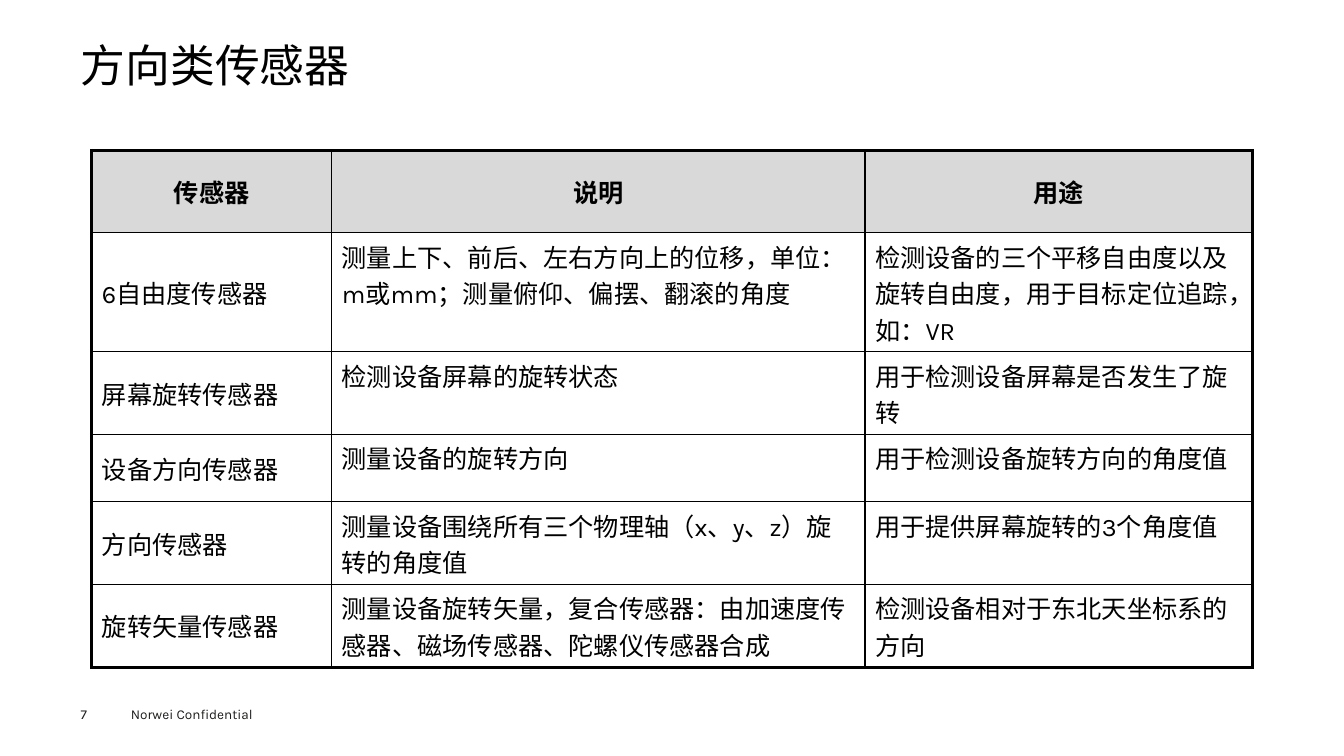
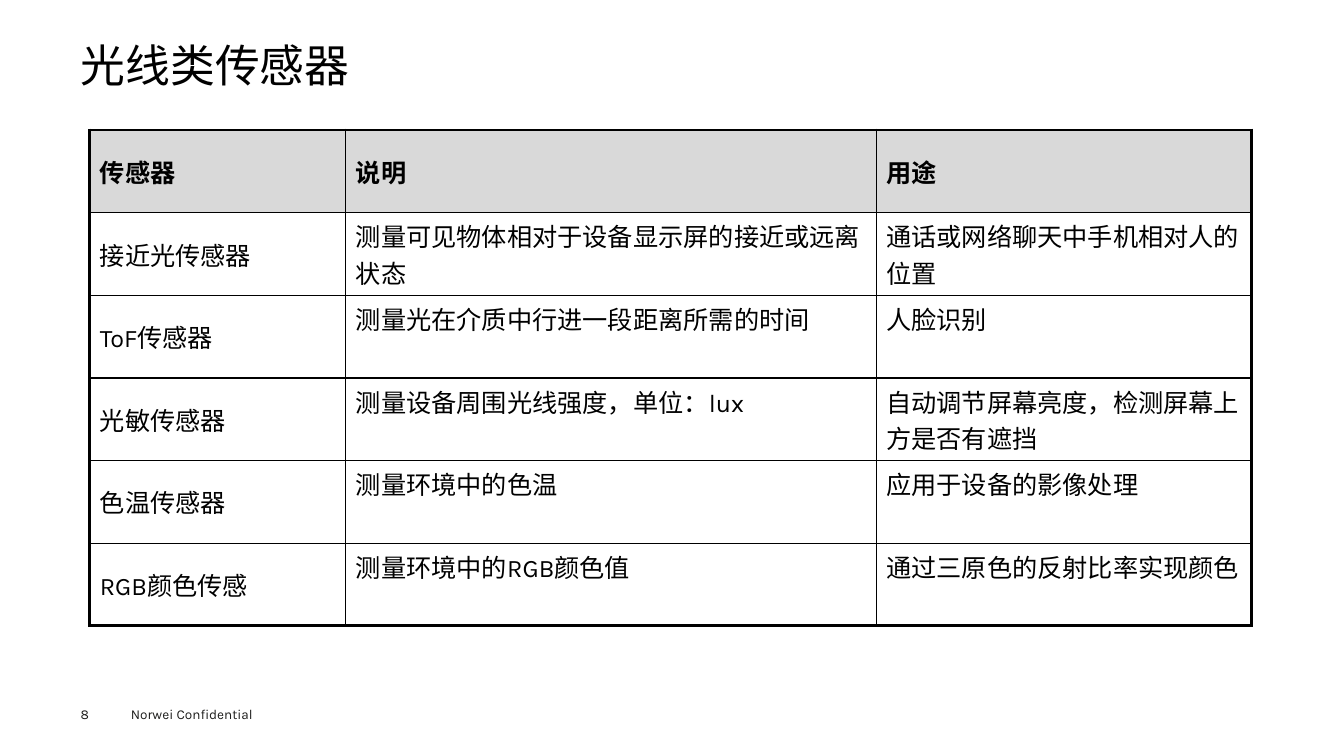
from dataclasses import dataclass

from lxml import etree
from pptx import Presentation
from pptx.dml.color import RGBColor
from pptx.enum.lang import MSO_LANGUAGE_ID
from pptx.enum.text import MSO_ANCHOR, MSO_AUTO_SIZE, PP_ALIGN
from pptx.oxml.ns import qn
from pptx.util import Inches, Pt

LEFT, CENTER = PP_ALIGN.LEFT, PP_ALIGN.CENTER
TOP, MIDDLE = MSO_ANCHOR.TOP, MSO_ANCHOR.MIDDLE
NO_AUTOFIT = MSO_AUTO_SIZE.NONE
CHINESE = MSO_LANGUAGE_ID.SIMPLIFIED_CHINESE
TITLE_ONLY = 5


@dataclass(frozen=True)
class Theme:
    font: str = "Karla"
    ink: str = "000000"
    footer_ink: str = "1D1D1B"
    header_fill: str = "D9D9D9"
    body_fill: str = "FFFFFF"
    title_size: float = 32
    table_size: float = 18
    footer_size: float = 9.7
    outer_line: float = 2.25
    inner_line: float = 1


@dataclass(frozen=True)
class SensorSlide:
    page: int
    title: str
    left: float
    top: float
    col_widths: tuple[float, ...]
    row_heights: tuple[float, ...]
    header_align: PP_ALIGN
    sensors: tuple[tuple[str, str, str], ...]


THEME = Theme()
HEADER = ("传感器", "说明", "用途")
FOOTER = "Norwei Confidential"
ROW = 0.82

SLIDES = (
    SensorSlide(
        7, "方向类传感器", 0.91, 1.49, (2.38, 5.29, 3.84),
        (ROW, 1.18, ROW, 0.67, ROW, ROW), CENTER,
        (
            ("6自由度传感器",
             "测量上下、前后、左右方向上的位移，单位：m或mm；测量俯仰、偏摆、翻滚的角度",
             "检测设备的三个平移自由度以及旋转自由度，用于目标定位追踪，如：VR"),
            ("屏幕旋转传感器", "检测设备屏幕的旋转状态",
             "用于检测设备屏幕是否发生了旋转"),
            ("设备方向传感器", "测量设备的旋转方向",
             "用于检测设备旋转方向的角度值"),
            ("方向传感器", "测量设备围绕所有三个物理轴（x、y、z）旋转的角度值",
             "用于提供屏幕旋转的3个角度值"),
            ("旋转矢量传感器",
             "测量设备旋转矢量，复合传感器：由加速度传感器、磁场传感器、陀螺仪传感器合成",
             "检测设备相对于东北天坐标系的方向"),
        ),
    ),
    SensorSlide(
        8, "光线类传感器", 0.89, 1.29, (2.54, 5.26, 3.72),
        (ROW,) * 6, LEFT,
        (
            ("接近光传感器", "测量可见物体相对于设备显示屏的接近或远离状态",
             "通话或网络聊天中手机相对人的位置"),
            ("ToF传感器", "测量光在介质中行进一段距离所需的时间", "人脸识别"),
            ("光敏传感器", "测量设备周围光线强度，单位：lux",
             "自动调节屏幕亮度，检测屏幕上方是否有遮挡"),
            ("色温传感器", "测量环境中的色温", "应用于设备的影像处理"),
            ("RGB颜色传感", "测量环境中的RGB颜色值",
             "通过三原色的反射比率实现颜色"),
        ),
    ),
)


def write(tf, text: str, *, size: float, color: str = THEME.ink, bold: bool = False,
          align: PP_ALIGN = LEFT, spacing: float = 1.0) -> None:
    """Fill a text frame with one formatted paragraph."""
    p = tf.paragraphs[0]
    p.alignment = align
    p.line_spacing = spacing
    r = p.add_run()
    r.text = text
    r.font.name = THEME.font
    r.font.size = Pt(size)
    r.font.bold = bold
    r.font.color.rgb = RGBColor.from_string(color)
    r.font.language_id = CHINESE


def clear_margins(tf) -> None:
    tf.margin_left = tf.margin_right = tf.margin_top = tf.margin_bottom = 0


def add_title(slide, text: str) -> None:
    sp = slide.shapes.title
    sp.left, sp.top = Inches(0.8), Inches(0.43)
    sp.width, sp.height = Inches(11.73), Inches(0.6)
    tf = sp.text_frame
    clear_margins(tf)
    tf.auto_size = NO_AUTOFIT
    tf.vertical_anchor = TOP
    write(tf, text, size=THEME.title_size, spacing=0.9)


def add_footer(slide, page: int) -> None:
    number = slide.shapes.add_textbox(Inches(0.8), Inches(7), Inches(0.55), Inches(0.16))
    clear_margins(number.text_frame)
    label = slide.shapes.add_textbox(Inches(1.2), Inches(6.95), Inches(1.6), Inches(0.27))
    for sp, text in ((number, str(page)), (label, FOOTER)):
        write(sp.text_frame, text, size=THEME.footer_size, color=THEME.footer_ink)


def set_borders(cell, outer: dict[str, bool]) -> None:
    """Draw the four sides of a cell, heavier where it meets the table edge."""
    tc_pr = cell._tc.get_or_add_tcPr()
    for i, (side, is_outer) in enumerate(outer.items()):
        width = THEME.outer_line if is_outer else THEME.inner_line
        ln = etree.Element(qn(f"a:ln{side}"), w=str(Pt(width)))
        fill = etree.SubElement(ln, qn("a:solidFill"))
        etree.SubElement(fill, qn("a:srgbClr"), val=THEME.ink)
        tc_pr.insert(i, ln)


def add_sensor_table(slide, content: SensorSlide) -> None:
    rows = (HEADER, *content.sensors)
    n_rows, n_cols = len(rows), len(HEADER)
    table = slide.shapes.add_table(
        n_rows, n_cols, Inches(content.left), Inches(content.top),
        Inches(sum(content.col_widths)), Inches(sum(content.row_heights))).table
    table.horz_banding = False
    for column, width in zip(table.columns, content.col_widths):
        column.width = Inches(width)
    for row, height in zip(table.rows, content.row_heights):
        row.height = Inches(height)
    for i, texts in enumerate(rows):
        is_header = i == 0
        for j, text in enumerate(texts):
            cell = table.cell(i, j)
            cell.vertical_anchor = MIDDLE if is_header or j == 0 else TOP
            cell.fill.solid()
            cell.fill.fore_color.rgb = RGBColor.from_string(
                THEME.header_fill if is_header else THEME.body_fill)
            set_borders(cell, {"L": j == 0, "R": j == n_cols - 1,
                               "T": is_header, "B": i == n_rows - 1})
            write(cell.text_frame, text, size=THEME.table_size, bold=is_header,
                  align=content.header_align if is_header else LEFT)


def main() -> None:
    prs = Presentation()
    prs.slide_width, prs.slide_height = Inches(13.33), Inches(7.5)
    for content in SLIDES:
        slide = prs.slides.add_slide(prs.slide_layouts[TITLE_ONLY])
        add_footer(slide, content.page)
        add_title(slide, content.title)
        add_sensor_table(slide, content)
    prs.save("out.pptx")


if __name__ == "__main__":
    main()
